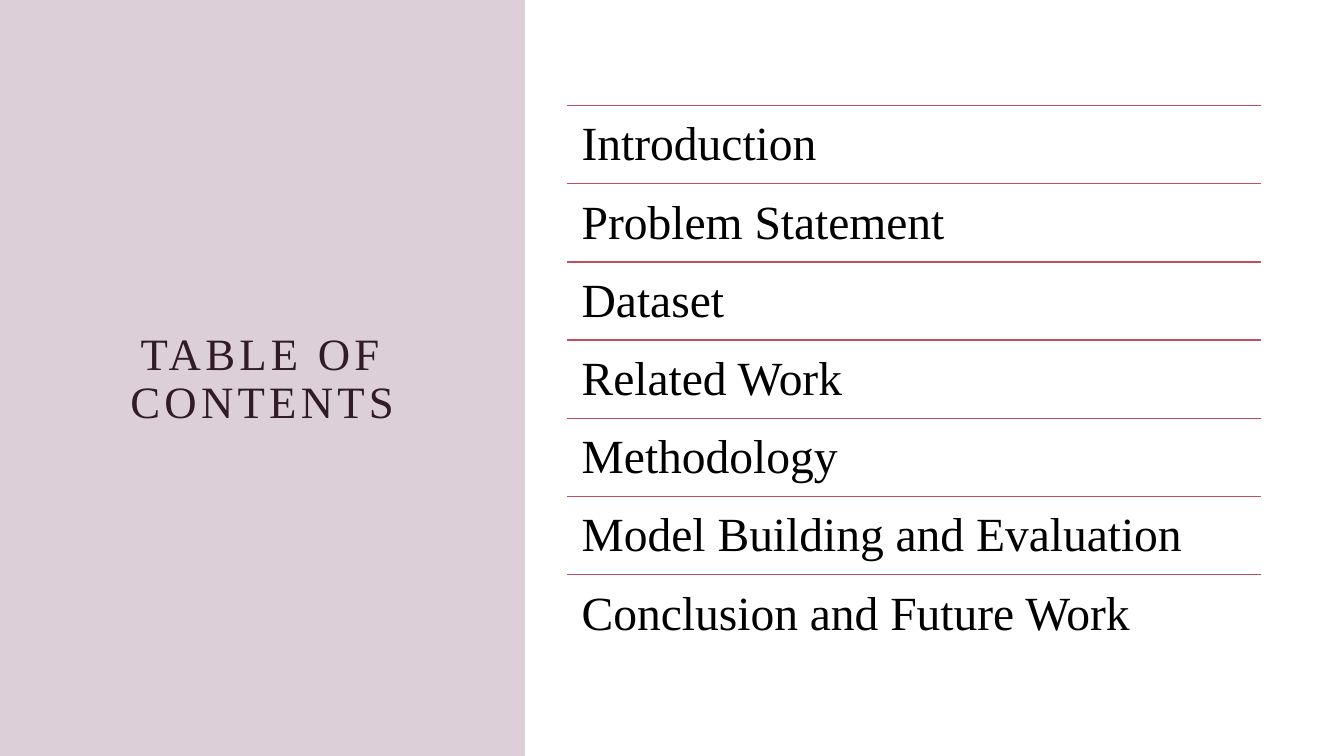
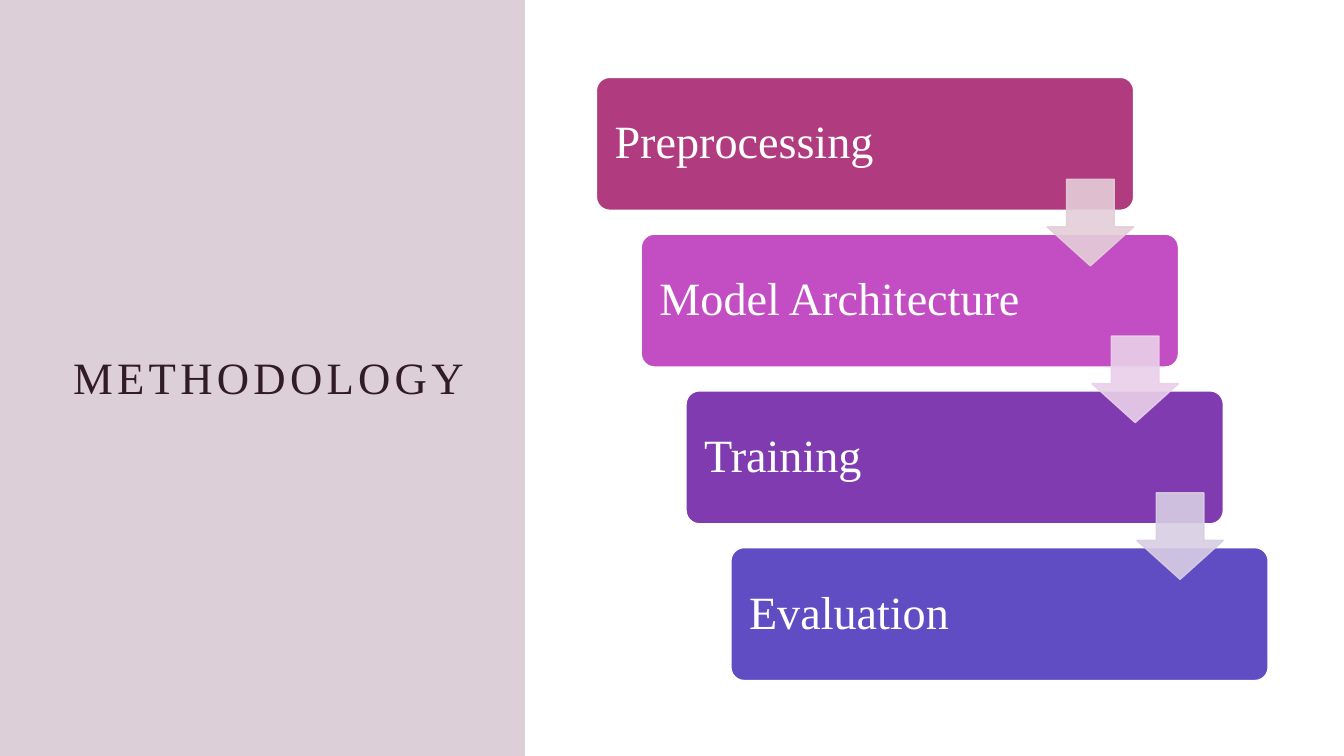
from pptx import Presentation
from pptx.dml.color import RGBColor
from pptx.enum.shapes import MSO_CONNECTOR, MSO_SHAPE
from pptx.enum.text import MSO_ANCHOR, PP_ALIGN
from pptx.oxml.ns import qn
from pptx.oxml.xmlchemy import OxmlElement
from pptx.util import Cm, Pt

WIDE, HIGH = 33.87, 19.05


def tint(code):
    """Turn a hex string into a colour."""
    return RGBColor.from_string(code)


def fade(shape, part):
    """Set the opacity, in percent, of the fill and line of a shape."""
    for color in shape._element.spPr.iter(qn("a:srgbClr")):
        alpha = OxmlElement("a:alpha")
        alpha.set("val", str(part * 1000))
        color.append(alpha)


class Deck:
    FONT = "Times New Roman"
    PANEL, TITLE = "764260", "301B27"
    RULE, INK, PAPER = "C34D5F", "000000", "FFFFFF"
    INSET = 0.36

    def __init__(self):
        self.prs = Presentation()
        self.prs.slide_width, self.prs.slide_height = Cm(WIDE), Cm(HIGH)
        self.slide = None

    def page(self, title, left, width):
        """Start a slide with its side panel and title."""
        self.slide = self.prs.slides.add_slide(self.prs.slide_layouts[6])
        panel = self.shape(MSO_SHAPE.RECTANGLE, 0, 0, 13.23, HIGH, self.PANEL)
        fade(panel, 25)
        box = self.slide.shapes.add_textbox(
            Cm(left), Cm(1.95), Cm(width), Cm(15.24))
        run = self.label(box, title, 32, self.TITLE, align=PP_ALIGN.CENTER)
        run._r.get_or_add_rPr().set("spc", "300")

    def label(self, shape, text, size, color, inset=None,
              anchor=MSO_ANCHOR.MIDDLE, align=PP_ALIGN.LEFT):
        """Put one styled run of text into a shape and return the run."""
        frame = shape.text_frame
        frame.word_wrap = True
        frame.vertical_anchor = anchor
        if inset is not None:
            frame.margin_left = frame.margin_right = Cm(inset)
            frame.margin_top = frame.margin_bottom = Cm(inset)
        para = frame.paragraphs[0]
        para.alignment = align
        para.line_spacing = 0.9
        run = para.add_run()
        run.text = text
        run.font.name = self.FONT
        run.font.size = Pt(size)
        run.font.color.rgb = tint(color)
        return run

    def shape(self, kind, left, top, width, height, fill, line=None, adj=()):
        shape = self.slide.shapes.add_shape(
            kind, Cm(left), Cm(top), Cm(width), Cm(height))
        shape.shadow.inherit = False
        shape.fill.solid()
        shape.fill.fore_color.rgb = tint(fill)
        if line:
            shape.line.color.rgb = tint(line)
            shape.line.width = Pt(1)
        else:
            shape.line.fill.background()
        for index, value in enumerate(adj):
            shape.adjustments[index] = value
        return shape

    def rule(self, left, top, width):
        line = self.slide.shapes.add_connector(
            MSO_CONNECTOR.STRAIGHT, Cm(left), Cm(top), Cm(left + width), Cm(top))
        line.line.color.rgb = tint(self.RULE)
        line.line.width = Pt(1)
        line._element.spPr.append(OxmlElement("a:effectLst"))

    def entry(self, text, left, top, width, height):
        """Add a line of the contents list under its rule."""
        self.rule(left, top, width)
        box = self.slide.shapes.add_textbox(
            Cm(left), Cm(top), Cm(width), Cm(height))
        self.label(box, text, 34, self.INK, self.INSET, MSO_ANCHOR.TOP)

    def card(self, text, left, top, fill):
        card = self.shape(MSO_SHAPE.ROUNDED_RECTANGLE, left, top, 13.54, 3.35,
                          fill, self.PAPER, [0.1])
        self.label(card, text, 33, self.PAPER, self.INSET)

    def arrow(self, left, top, fill):
        arrow = self.shape(MSO_SHAPE.DOWN_ARROW, left, top, 2.18, 2.18,
                           fill, fill, [0.55, 0.45])
        fade(arrow, 90)


def contents(deck):
    deck.page("TABLE OF CONTENTS", 1.9, 9.42)
    topics = ["Introduction", "Problem Statement", "Dataset", "Related Work",
              "Methodology", "Model Building and Evaluation",
              "Conclusion and Future Work"]
    step = 1.97
    for index, topic in enumerate(topics):
        deck.entry(topic, 14.3, 2.66 + index * step, 17.48, step)


def method(deck):
    deck.page("METHODOLOGY", 1.17, 11.2)
    stages = [("Preprocessing", "B13B7F"), ("Model Architecture", "C34DC2"),
              ("Training", "813BB1"), ("Evaluation", "614DC3")]
    spots = [(15.03 + index * 1.13, 1.95 + index * 3.95)
             for index in range(len(stages))]
    for (text, fill), (left, top) in zip(stages, spots):
        deck.card(text, left, top, fill)
    for fill, (left, top) in zip(["E4CED8", "E9D0E9", "D8CEE4"], spots):
        deck.arrow(left + 11.36, top + 2.57, fill)


def main():
    deck = Deck()
    contents(deck)
    method(deck)
    deck.prs.save("out.pptx")


if __name__ == "__main__":
    main()
